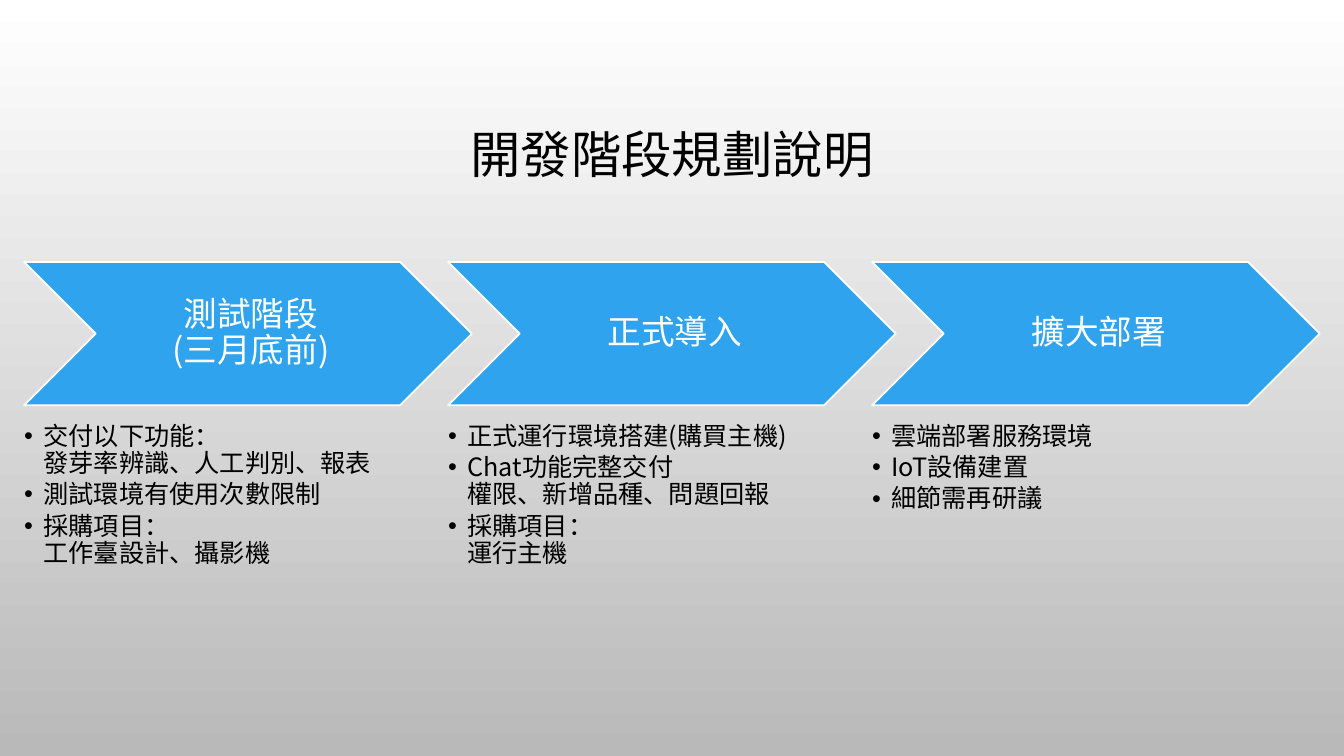
from lxml import etree
from pptx import Presentation
from pptx.dml.color import RGBColor
from pptx.enum.shapes import MSO_SHAPE
from pptx.enum.text import MSO_ANCHOR, PP_ALIGN
from pptx.oxml.ns import qn
from pptx.util import Inches, Pt

CHEVRON = MSO_SHAPE.CHEVRON
MIDDLE, TOP = MSO_ANCHOR.MIDDLE, MSO_ANCHOR.TOP
CENTER, LEFT = PP_ALIGN.CENTER, PP_ALIGN.LEFT
CJK = "Noto Sans CJK SC"

STAGES = [
    ("測試階段\n(三月底前)",
     ["交付以下功能：\n發芽率辨識、人工判別、報表", "測試環境有使用次數限制",
      "採購項目：\n工作臺設計、攝影機"]),
    ("正式導入",
     ["正式運行環境搭建(購買主機)", "Chat功能完整交付\n權限、新增品種、問題回報",
      "採購項目：\n運行主機"]),
    ("擴大部署",
     ["雲端部署服務環境", "IoT設備建置", "細節需再研議"]),
]
TITLE = dict(size=36, font="Calibri", color="000000", align=CENTER, anchor=MIDDLE,
             margins=(0.1, 0.05, 0.1, 0.05), after=0, bullet=False)
STAGE = dict(size=24, font=CJK, color="FFFFFF", align=CENTER, anchor=MIDDLE,
             margins=(0.1, 0.04, 0.04, 0.04), after=0, bullet=False)
DETAIL = dict(size=18, font=CJK, color="000000", align=LEFT, anchor=TOP,
              margins=(0, 0, 0, 0), after=3, bullet=True)


def rgb(value):
    return RGBColor.from_string(value)


def write(sp, lines, style):
    tf = sp.text_frame
    tf.word_wrap = True
    tf.vertical_anchor = style["anchor"]
    for side, margin in zip(("left", "top", "right", "bottom"), style["margins"]):
        setattr(tf, f"margin_{side}", Inches(margin))
    for i, line in enumerate(lines):
        p = tf.add_paragraph() if i else tf.paragraphs[0]
        p.text = line
        p.alignment = style["align"]
        p.line_spacing = 0.9
        p.space_after = Pt(style["after"])
        if style["bullet"]:
            pPr = p._p.get_or_add_pPr()
            pPr.set("marL", str(Inches(0.19)))
            pPr.set("indent", str(-Inches(0.19)))
            etree.SubElement(pPr, qn("a:buFont")).set("typeface", "Arial")
            etree.SubElement(pPr, qn("a:buChar")).set("char", "•")
        for r in p.runs:
            r.font.size = Pt(style["size"])
            r.font.name = style["font"]
            r.font.color.rgb = rgb(style["color"])
            # East Asian typeface
            etree.SubElement(r.font._element, qn("a:ea")).set("typeface", CJK)


prs = Presentation()
prs.slide_width, prs.slide_height = Inches(13.33), Inches(7.5)
s = prs.slides.add_slide(prs.slide_layouts[6])

# Background: white at the top fading to grey
fill = s.background.fill
fill.gradient()
fill.gradient_angle = 270
for stop, color in zip(fill.gradient_stops, ("FFFFFF", "B9B9B9")):
    stop.color.rgb = rgb(color)

# Title
sp = s.shapes.add_textbox(Inches(1), Inches(0.68), Inches(11.33), Inches(1.75))
write(sp, ["開發階段規劃說明"], TITLE)

# Stages: a chevron with its details below
for i, (stage, details) in enumerate(STAGES):
    left = Inches(0.24 + 4.205 * i)
    sp = s.shapes.add_shape(CHEVRON, left, Inches(2.6), Inches(4.44), Inches(1.42))
    sp.shadow.inherit = False
    sp.fill.solid()
    sp.fill.fore_color.rgb = rgb("2FA3EE")
    sp.line.color.rgb = rgb("FFFFFF")
    sp.line.width = Pt(1.25)
    write(sp, [stage], STAGE)

    sp = s.shapes.add_textbox(left, Inches(4.2), Inches(3.55), Inches(2.13))
    write(sp, details, DETAIL)

prs.save("out.pptx")
